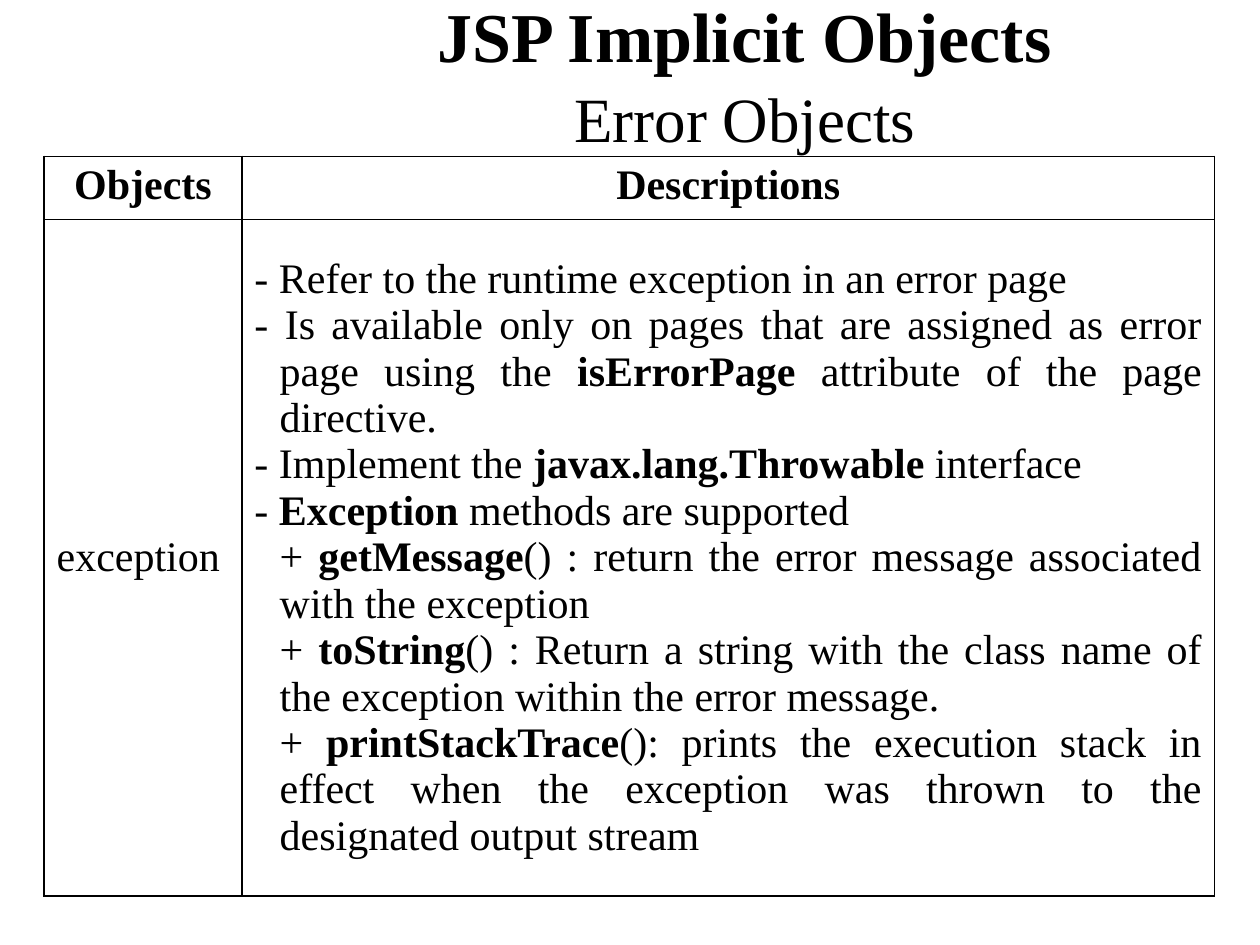
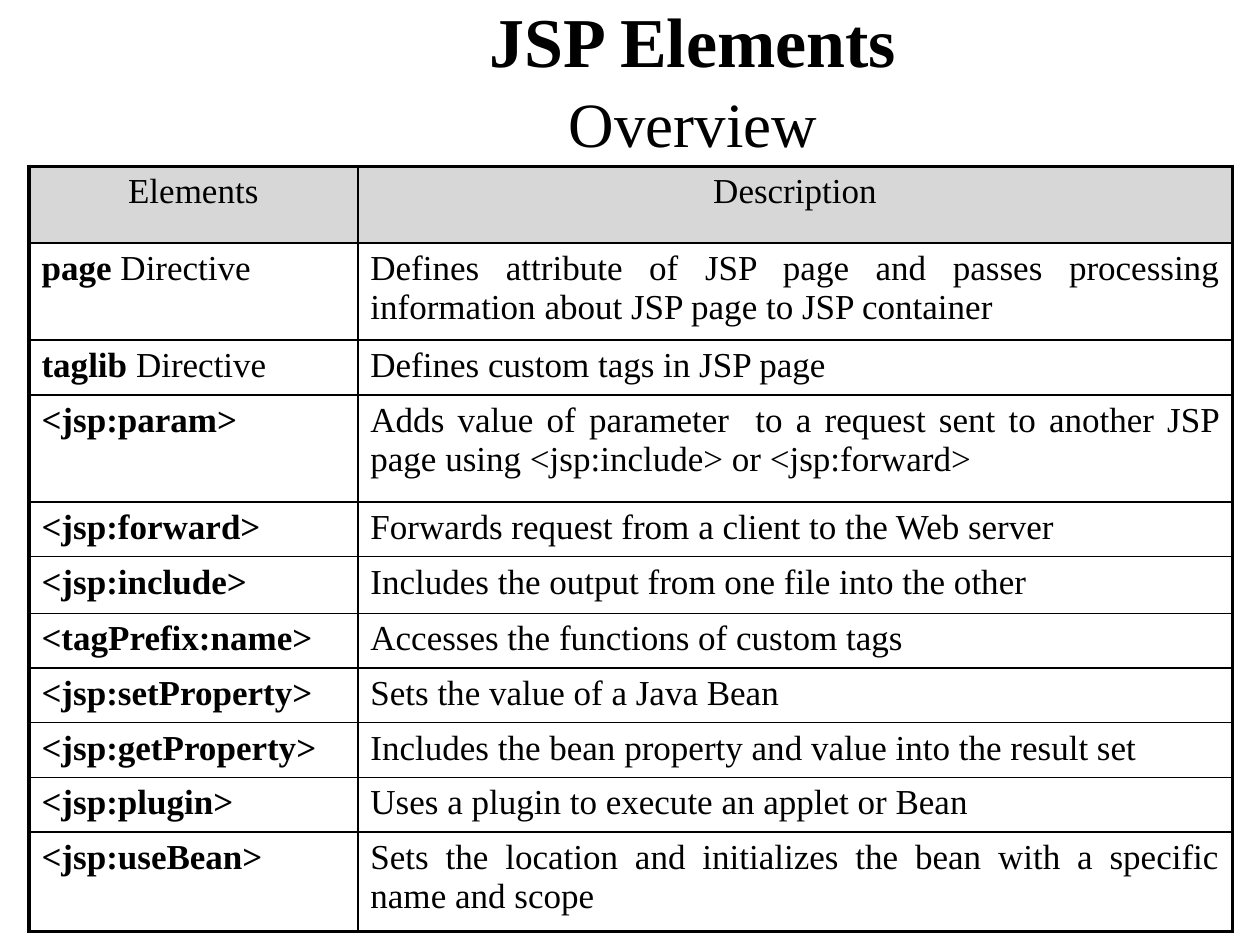
from lxml import etree
from pptx import Presentation
from pptx.dml.color import RGBColor
from pptx.enum.text import MSO_ANCHOR, PP_ALIGN
from pptx.oxml.ns import qn
from pptx.util import Inches, Pt

CENTER, LEFT, JUSTIFY = PP_ALIGN.CENTER, PP_ALIGN.LEFT, PP_ALIGN.JUSTIFY
TOP, MIDDLE = MSO_ANCHOR.TOP, MSO_ANCHOR.MIDDLE

COLORS = {"ink": "000000", "header": "D7D7D7"}
FONT = "Times New Roman"
THIN, THICK = 1, 2.25
HANGING = 0.2

# Asterisks enclose bold words.
EXCEPTION_NOTES = [
    "- Refer to the runtime exception in an error page",
    "- Is available only on pages that are assigned as error page using the "
    "*isErrorPage* attribute of the page directive.",
    "- Implement the *javax.lang.Throwable* interface",
    "- *Exception* methods are supported",
    "+ *getMessage*() : return the error message associated with the exception",
    "+ *toString*() : Return a string with the class name of the exception "
    "within the error message.",
    "+ *printStackTrace*(): prints the execution stack in effect when the "
    "exception was thrown to the designated output stream",
]

# Element, description, row height
JSP_ELEMENTS = [
    ("*page* Directive", "Defines attribute of JSP page and passes processing "
     "information about JSP page to JSP container", 0.77),
    ("*taglib* Directive", "Defines custom tags in JSP page", 0.43),
    ("*<jsp:param>*", "Adds value of parameter  to a request sent to another JSP "
     "page using <jsp:include> or <jsp:forward>", 0.85),
    ("*<jsp:forward>*", "Forwards request from a client to the Web server", 0.43),
    ("*<jsp:include>*", "Includes the output from one file into the other", 0.45),
    ("*<tagPrefix:name>*", "Accesses the functions of custom tags", 0.43),
    ("*<jsp:setProperty>*", "Sets the value of a Java Bean", 0.43),
    ("*<jsp:getProperty>*", "Includes the bean property and value into the result set", 0.43),
    ("*<jsp:plugin>*", "Uses a plugin to execute an applet or Bean", 0.43),
    ("*<jsp:useBean>*", "Sets the location and initializes the bean with a specific "
     "name and scope", 0.79),
]


class Deck:
    def __init__(self):
        self.prs = Presentation()
        self.prs.slide_width, self.prs.slide_height = Inches(10), Inches(7.5)
        self.slide = None

    def new_slide(self):
        self.slide = self.prs.slides.add_slide(self.prs.slide_layouts[6])

    def set_text(self, paragraph, text, size, align):
        """Fill a paragraph, with the words between asterisks in bold."""
        paragraph.alignment = align
        font = paragraph.font
        font.name, font.size = FONT, Pt(size)
        font.color.rgb = RGBColor.from_string(COLORS["ink"])
        for i, part in enumerate(text.split("*")):
            if part:
                run = paragraph.add_run()
                run.text = part
                run.font.bold = i % 2 == 1

    def title(self, heading, subheading, left, top, width, height):
        box = self.slide.shapes.add_textbox(
            Inches(left), Inches(top), Inches(width), Inches(height))
        frame = box.text_frame
        frame.word_wrap = True
        frame.vertical_anchor = MIDDLE
        self.set_text(frame.paragraphs[0], f"*{heading}*", 40, CENTER)
        self.set_text(frame.add_paragraph(), subheading, 36, CENTER)
        for paragraph in frame.paragraphs:
            paragraph.line_spacing = Pt(45)

    def table(self, left, top, columns, rows, outer=THIN):
        """Add a table with thin inner lines and the given outer line width."""
        grid = self.slide.shapes.add_table(
            len(rows), len(columns), Inches(left), Inches(top),
            Inches(sum(columns)), Inches(sum(rows))).table
        grid.first_row = grid.horz_banding = False
        for column, width in zip(grid.columns, columns):
            column.width = Inches(width)
        for row, height in zip(grid.rows, rows):
            row.height = Inches(height)
        last_row, last_column = len(rows) - 1, len(columns) - 1
        for r in range(len(rows)):
            for c in range(len(columns)):
                edges = {"lnL": c == 0, "lnR": c == last_column,
                         "lnT": r == 0, "lnB": r == last_row}
                for side, is_outer in edges.items():
                    self.border(grid.cell(r, c), side, outer if is_outer else THIN)
        return grid

    def border(self, cell, side, width):
        line = etree.SubElement(cell._tc.get_or_add_tcPr(), qn(f"a:{side}"), w=str(Pt(width)))
        fill = etree.SubElement(line, qn("a:solidFill"))
        etree.SubElement(fill, qn("a:srgbClr"), val=COLORS["ink"])

    def cell(self, cell, texts, size, align, anchor=TOP, fill=None):
        if fill:
            cell.fill.solid()
            cell.fill.fore_color.rgb = RGBColor.from_string(COLORS[fill])
        else:
            cell.fill.background()
        cell.vertical_anchor = anchor
        frame = cell.text_frame
        for i, text in enumerate(texts):
            paragraph = frame.add_paragraph() if i else frame.paragraphs[0]
            self.set_text(paragraph, text, size, align)
            if text.startswith(("- ", "+ ")):
                self.indent(paragraph, hanging=text.startswith("- "))

    def indent(self, paragraph, hanging):
        properties = paragraph._p.get_or_add_pPr()
        properties.set("marL", str(Inches(HANGING)))
        properties.set("indent", str(-Inches(HANGING) if hanging else 0))


def error_objects(deck):
    deck.new_slide()
    deck.title("JSP Implicit Objects", "Error Objects", 1.82, 0.08, 8.18, 1.05)
    objects = deck.table(0.35, 1.24, [1.57, 7.72], [0.5, 5.37])
    for column, header in enumerate(("*Objects*", "*Descriptions*")):
        deck.cell(objects.cell(0, column), [header], 24, CENTER)
    deck.cell(objects.cell(1, 0), ["exception"], 24, LEFT, MIDDLE)
    deck.cell(objects.cell(1, 1), EXCEPTION_NOTES, 24, JUSTIFY, MIDDLE)


def elements_overview(deck):
    deck.new_slide()
    deck.title("JSP Elements", "Overview", 1, 0.04, 9, 1.21)
    heights = [0.61] + [height for _, _, height in JSP_ELEMENTS]
    overview = deck.table(0.23, 1.32, [2.61, 6.94], heights, outer=THICK)
    for column, header in enumerate(("Elements", "Description")):
        deck.cell(overview.cell(0, column), [header], 20, CENTER, fill="header")
    for row, (element, description, _) in enumerate(JSP_ELEMENTS, start=1):
        deck.cell(overview.cell(row, 0), [element], 20, LEFT)
        deck.cell(overview.cell(row, 1), [description], 20, JUSTIFY)


def main():
    deck = Deck()
    error_objects(deck)
    elements_overview(deck)
    deck.prs.save("out.pptx")


if __name__ == "__main__":
    main()
